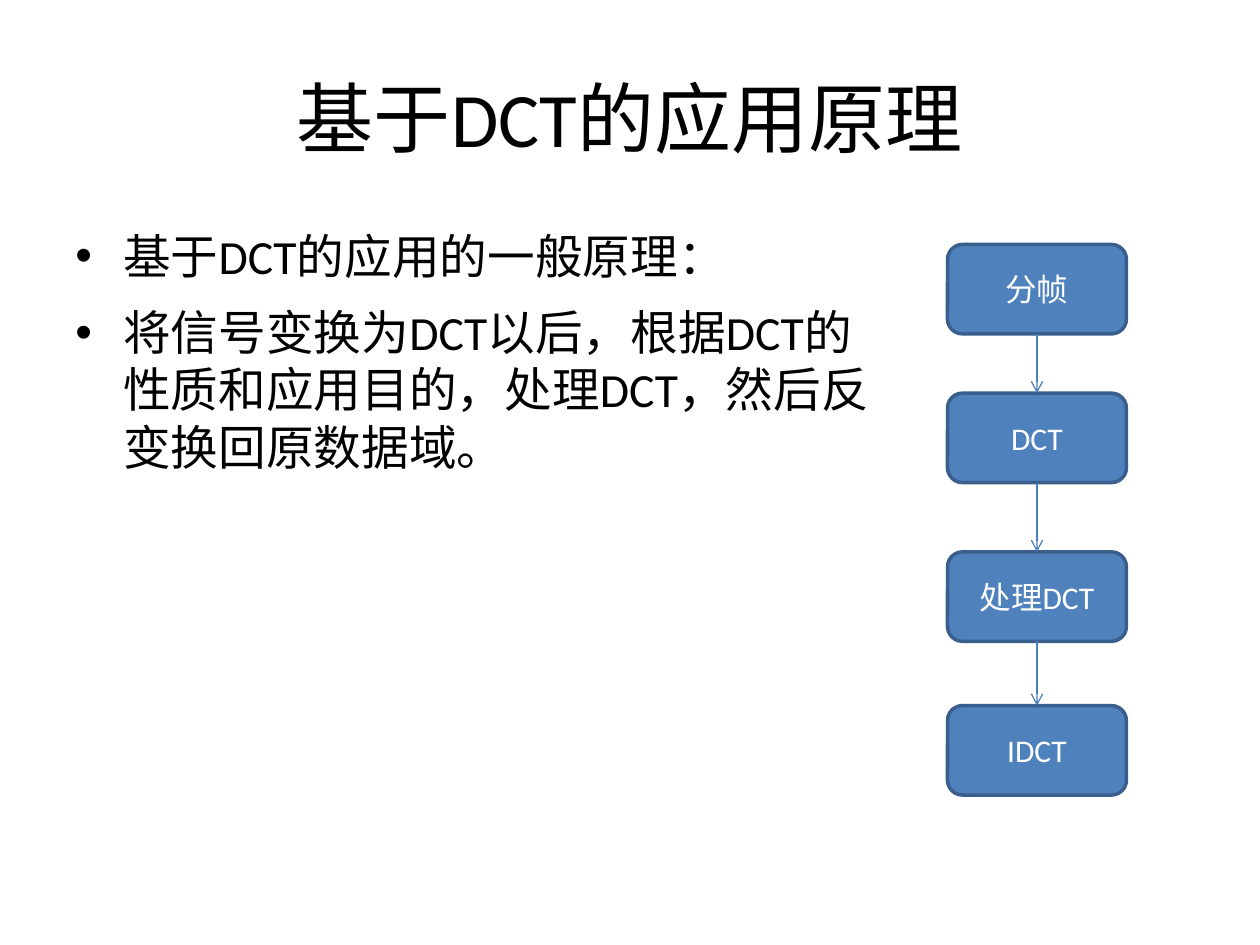
import pptx
import pptx.util
import pptx.dml.color
import pptx.enum.shapes
import pptx.enum.text
import pptx.oxml
import pptx.oxml.ns
import itertools

BLACK = pptx.dml.color.RGBColor(0x00, 0x00, 0x00)
WHITE = pptx.dml.color.RGBColor(0xFF, 0xFF, 0xFF)
STEP_FILL = pptx.dml.color.RGBColor(0x4F, 0x81, 0xBD)
STEP_LINE = pptx.dml.color.RGBColor(0x3A, 0x5F, 0x8C)
ARROW_LINE = pptx.dml.color.RGBColor(0x4B, 0x7E, 0xBC)

FONT = "Calibri"
SLIDE_WIDTH = pptx.util.Inches(10)
SLIDE_HEIGHT = pptx.util.Inches(7.5)
MARGIN = pptx.util.Inches(0.5)
BULLET_INDENT = pptx.util.Inches(0.38)
STEP_LEFT = pptx.util.Inches(7.52)
STEP_WIDTH = pptx.util.Inches(1.42)
STEP_HEIGHT = STEP_WIDTH // 2

TITLE = "基于DCT的应用原理"
BULLETS = [
    "基于DCT的应用的一般原理：",
    "将信号变换为DCT以后，根据DCT的性质和应用目的，处理DCT，然后反变换回原数据域。",
]
STEPS = [("分帧", 1.94), ("DCT", 3.12), ("处理DCT", 4.38), ("IDCT", 5.6)]


def add_run(paragraph, text, size, color):
    run = paragraph.add_run()
    run.text = text
    run.font.name = FONT
    run.font.size = pptx.util.Pt(size)
    run.font.color.rgb = color


def add_text_frame(slide, top, width, height):
    box = slide.shapes.add_textbox(MARGIN, top, width, height)
    box.text_frame.word_wrap = True
    return box.text_frame


def add_title(slide):
    frame = add_text_frame(
        slide, int(SLIDE_HEIGHT * 0.04), int(SLIDE_WIDTH * 0.9), SLIDE_HEIGHT // 6
    )
    frame.vertical_anchor = pptx.enum.text.MSO_ANCHOR.MIDDLE
    paragraph = frame.paragraphs[0]
    paragraph.alignment = pptx.enum.text.PP_ALIGN.CENTER
    add_run(paragraph, TITLE, 44, BLACK)


def format_bullet(paragraph):
    paragraph.space_before = pptx.util.Pt(5)
    paragraph.space_after = pptx.util.Pt(6)
    properties = paragraph._p.get_or_add_pPr()
    properties.set("marL", str(BULLET_INDENT))
    properties.set("indent", str(-BULLET_INDENT))
    namespace = pptx.oxml.ns.nsdecls("a")
    for markup in (
        f'<a:buFont {namespace} typeface="Arial"/>',
        f'<a:buChar {namespace} char="•"/>',
    ):
        properties.append(pptx.oxml.parse_xml(markup))


def add_bullets(slide):
    frame = add_text_frame(
        slide, pptx.util.Inches(1.75), int(SLIDE_WIDTH * 0.67), pptx.util.Inches(2.08)
    )
    for index, text in enumerate(BULLETS):
        paragraph = frame.add_paragraph() if index else frame.paragraphs[0]
        format_bullet(paragraph)
        add_run(paragraph, text, 27.2, BLACK)


def add_step(slide, text, top):
    shape = slide.shapes.add_shape(
        pptx.enum.shapes.MSO_SHAPE.FLOWCHART_ALTERNATE_PROCESS,
        STEP_LEFT, pptx.util.Inches(top), STEP_WIDTH, STEP_HEIGHT,
    )
    shape.shadow.inherit = False
    shape.fill.solid()
    shape.fill.fore_color.rgb = STEP_FILL
    shape.line.color.rgb = STEP_LINE
    shape.line.width = pptx.util.Pt(2)
    shape.text_frame.word_wrap = True
    shape.text_frame.vertical_anchor = pptx.enum.text.MSO_ANCHOR.MIDDLE
    paragraph = shape.text_frame.paragraphs[0]
    paragraph.alignment = pptx.enum.text.PP_ALIGN.CENTER
    add_run(paragraph, text, 18, WHITE)
    return shape


def add_arrow(slide, upper, lower):
    connector = slide.shapes.add_connector(
        pptx.enum.shapes.MSO_CONNECTOR.STRAIGHT, 0, 0, 0, 0
    )
    connector.begin_connect(upper, 2)
    connector.end_connect(lower, 0)
    connector.line.color.rgb = ARROW_LINE
    connector.line.width = pptx.util.Pt(0.75)
    namespace = pptx.oxml.ns.nsdecls("a")
    connector.line._get_or_add_ln().append(
        pptx.oxml.parse_xml(f'<a:tailEnd {namespace} type="arrow"/>')
    )
    connector._element.spPr.append(pptx.oxml.parse_xml(f"<a:effectLst {namespace}/>"))


def main():
    presentation = pptx.Presentation()
    presentation.slide_width = SLIDE_WIDTH
    presentation.slide_height = SLIDE_HEIGHT
    slide = presentation.slides.add_slide(presentation.slide_layouts[6])
    add_title(slide)
    add_bullets(slide)
    steps = [add_step(slide, text, top) for text, top in STEPS]
    for upper, lower in itertools.pairwise(steps):
        add_arrow(slide, upper, lower)
    presentation.save("out.pptx")


if __name__ == "__main__":
    main()
